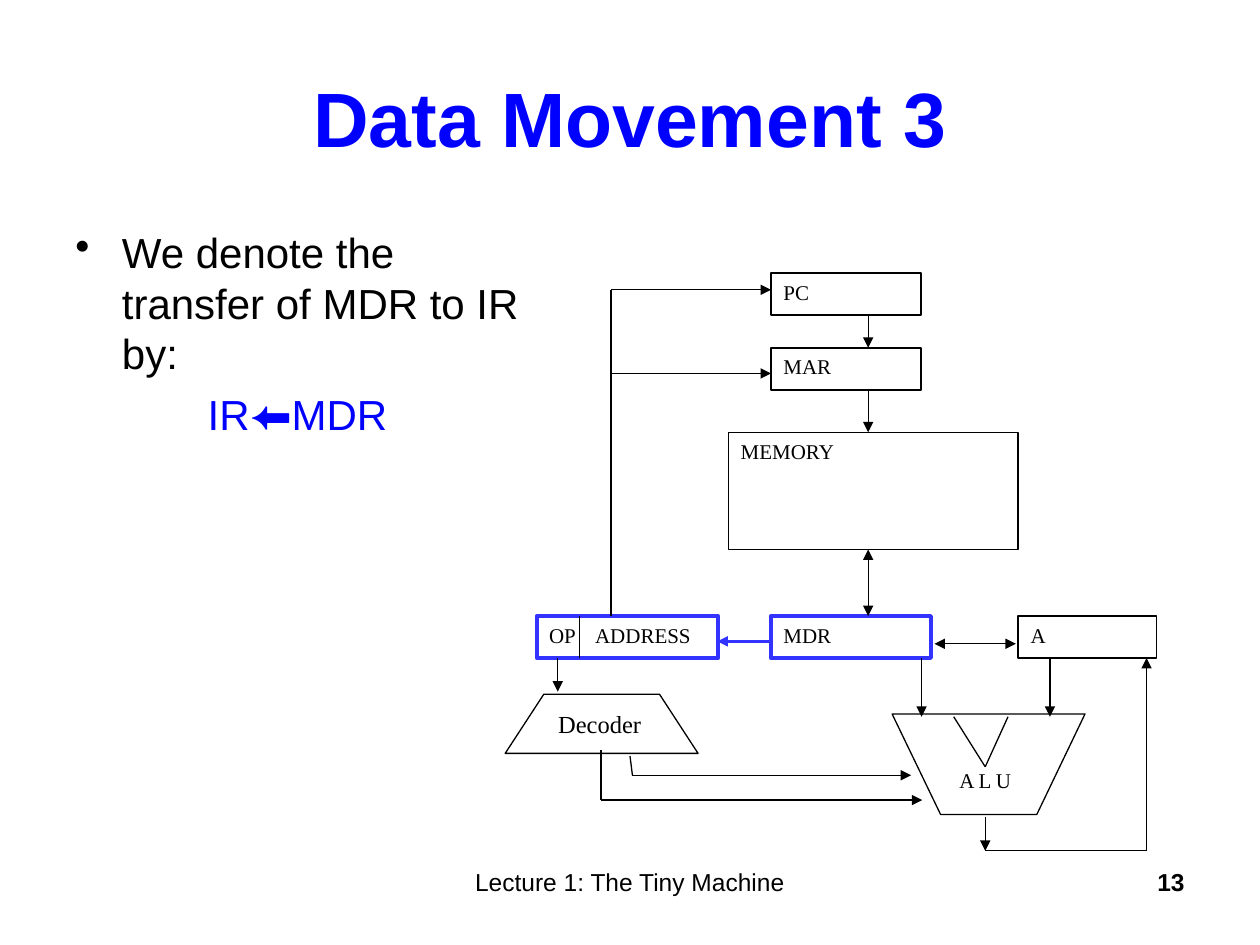
import pptx
import pptx.util
import pptx.dml.color
import pptx.enum.shapes
import pptx.enum.text
import pptx.oxml.ns
import lxml.etree

Pt = pptx.util.Pt
SHAPES = pptx.enum.shapes.MSO_SHAPE
ALIGN = pptx.enum.text.PP_ALIGN
ANCHOR = pptx.enum.text.MSO_ANCHOR
BLACK, WHITE, BLUE, ACTIVE = "000000", "FFFFFF", "0000FF", "3333FF"
SANS, SERIF = "Arial", "Times New Roman"
THIN = 0.74
ROW_HEIGHT = 24
REGISTER_LEFT, REGISTER_TOP = 440.6, 352
BUS = 496.1
ADDRESS_BUS = 349.2
RESULT_X, RESULT_Y = 563, 486.2

TITLE = "Data Movement 3"
BODY = [
    ("We denote the transfer of MDR to IR by:", BLACK, 26.6, -26.6, "•"),
    ("IR⬅MDR", BLUE, 75.6, 0, None),
]
REGISTERS = [
    ("PC", REGISTER_LEFT, 156.2, 85.7, ROW_HEIGHT, BLACK, 1),
    ("MAR", REGISTER_LEFT, 198.7, 85.7, ROW_HEIGHT, BLACK, 1),
    ("MEMORY", 416.2, 247, 165.6, 67, BLACK, THIN),
    ("OP\tADDRESS", 306.7, REGISTER_TOP, 103.7, ROW_HEIGHT, ACTIVE, 2.25),
    ("MDR", REGISTER_LEFT, REGISTER_TOP, 91.4, ROW_HEIGHT, ACTIVE, 2.25),
    ("A", 581.8, REGISTER_TOP, 79.2, ROW_HEIGHT, BLACK, THIN),
]
ALU_OUTLINE = [(509.8, 408), (537.5, 465.4), (592.5, 465.4), (620, 408)]
NONE, END, BOTH = (), ("tailEnd",), ("headEnd", "tailEnd")
WIRES = [
    (BUS, 180.2, BUS, 198.7, END),
    (BUS, 222.7, BUS, 247, END),
    (BUS, 314, BUS, REGISTER_TOP, BOTH),
    (ADDRESS_BUS, REGISTER_TOP, ADDRESS_BUS, 165.6, NONE),
    (ADDRESS_BUS, 165.6, REGISTER_LEFT, 165.6, END),
    (ADDRESS_BUS, 213.4, REGISTER_LEFT, 213.4, END),
    (331, 352, 331, 376, NONE),
    (318.7, 376, 318.7, 395.2, END),
    (360, 432, 361.4, 443, NONE),
    (361.4, 443, 520.6, 443, END),
    (343.4, 428.6, 343.4, 457.2, NONE),
    (343.4, 457.2, 527, 457.2, END),
    (534, 367.9, 580.5, 367.9, BOTH),
    (526.6, 376, 526.6, 409.6, END),
    (600, 376, 600, 409.6, END),
    (545, 409.6, RESULT_X, 438.2, NONE),
    (576, 409.6, RESULT_X, 438.2, NONE),
    (RESULT_X, 466.6, RESULT_X, RESULT_Y, END),
    (RESULT_X, RESULT_Y, 655.2, RESULT_Y, NONE),
    (655.2, RESULT_Y, 655.2, 376, END),
]
LABELS = [
    ("Decoder", 311.8, 401.8, 66.2, 24.5, SERIF, ALIGN.LEFT, False),
    ("Lecture 1: The Tiny Machine", 246.2, 491.8, 227.5, 36.7, SANS, ALIGN.CENTER, False),
    ("13", 516.2, 491.8, 167.8, 36.7, SANS, ALIGN.RIGHT, True),
]


def color(value):
    return pptx.dml.color.RGBColor.from_string(value)


def add_xml(parent, tag, **attributes):
    return lxml.etree.SubElement(parent, pptx.oxml.ns.qn(tag), attributes)


def set_font(para, name, size, shade=BLACK, bold=False):
    para.font.name = name
    para.font.size = Pt(size)
    para.font.bold = bold
    para.font.color.rgb = color(shade)


def place(shape, *bounds):
    shape.left, shape.top, shape.width, shape.height = map(Pt, bounds)


def style_shape(shape, line=BLACK, width=THIN):
    shape.shadow.inherit = False
    shape.fill.solid()
    shape.fill.fore_color.rgb = color(WHITE)
    shape.line.color.rgb = color(line)
    shape.line.width = Pt(width)


def write(shape, text, size=12, font=SERIF, align=ALIGN.LEFT, bold=False):
    frame = shape.text_frame
    frame.word_wrap = True
    frame.vertical_anchor = ANCHOR.TOP
    frame.text = text
    para = frame.paragraphs[0]
    para.alignment = align
    set_font(para, font, size, bold=bold)
    return para


def add_wire(x1, y1, x2, y2, heads, shade=BLACK, width=THIN):
    wire = shapes.add_connector(pptx.enum.shapes.MSO_CONNECTOR.STRAIGHT, Pt(x1), Pt(y1), Pt(x2), Pt(y2))
    wire.line.color.rgb = color(shade)
    wire.line.width = Pt(width)
    for head in heads:
        add_xml(wire.line._get_or_add_ln(), "a:" + head, type="triangle")
    add_xml(wire._element.spPr, "a:effectLst")


deck = pptx.Presentation()
deck.slide_width, deck.slide_height = Pt(720), Pt(540)
page = deck.slides.add_slide(deck.slide_layouts[5])
shapes = page.shapes

title = shapes.title
place(title, 36, 21.6, 648, 90)
title.text_frame.text = TITLE
title.text_frame.vertical_anchor = ANCHOR.MIDDLE
title.text_frame.paragraphs[0].alignment = ALIGN.CENTER
set_font(title.text_frame.paragraphs[0], SANS, 44, BLUE, True)

body = shapes.add_textbox(Pt(36), Pt(126), Pt(275), Pt(356.4)).text_frame
body.word_wrap = True
for index, (text, shade, margin, indent, bullet) in enumerate(BODY):
    para = body.add_paragraph() if index else body.paragraphs[0]
    para.text = text
    para.space_before = Pt(6)
    set_font(para, SANS, 24, shade)
    properties = para._p.get_or_add_pPr()
    properties.set("marL", str(Pt(margin)))
    properties.set("indent", str(Pt(indent)))
    if bullet:
        mark = pptx.oxml.parse_xml(
            '<a:buChar xmlns:a="http://schemas.openxmlformats.org/drawingml/2006/main" char="%s"/>' % bullet)
        properties.find(pptx.oxml.ns.qn("a:defRPr")).addprevious(mark)

for text, left, top, width, height, line, weight in REGISTERS:
    register = shapes.add_shape(SHAPES.RECTANGLE, Pt(left), Pt(top), Pt(width), Pt(height))
    style_shape(register, line, weight)
    para = write(register, text)
    if "\t" in text:
        stops = add_xml(para._p.get_or_add_pPr(), "a:tabLst")
        add_xml(stops, "a:tab", pos=str(Pt(26.3)), algn="l")
        para._p.pPr.find(pptx.oxml.ns.qn("a:defRPr")).addprevious(stops)

decoder = shapes.add_shape(SHAPES.FLOWCHART_MANUAL_OPERATION, Pt(288.7), Pt(396.7), Pt(110.2), Pt(33.8))
decoder.rotation = 180
style_shape(decoder)

corners = [(Pt(x), Pt(y)) for x, y in ALU_OUTLINE]
outline = shapes.build_freeform(*corners[0])
outline.add_line_segments(corners[1:], close=True)
alu = outline.convert_to_shape()
style_shape(alu)
write(alu, "A L U")
alu.text_frame.margin_left = Pt(38.5)
alu.text_frame.margin_top = Pt(30.5)

for wire in WIRES:
    add_wire(*wire)
add_wire(REGISTER_LEFT, 366.5, 410, 366.5, END, ACTIVE, 1.5)

for text, left, top, width, height, font, align, bold in LABELS:
    label = shapes.add_textbox(Pt(left), Pt(top), Pt(width), Pt(height))
    write(label, text, 14, font, align, bold)

deck.save("out.pptx")
